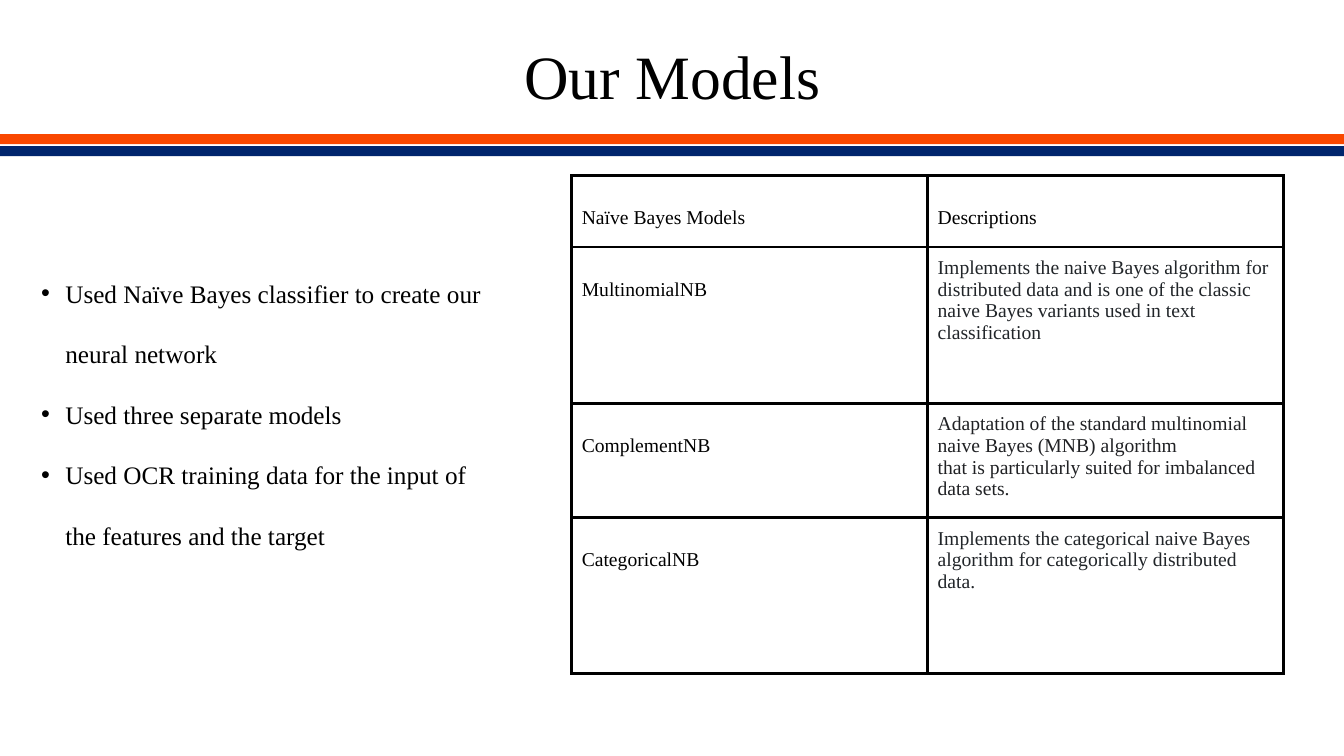
from lxml.etree import SubElement
from pptx import Presentation
from pptx.dml.color import RGBColor
from pptx.enum.shapes import MSO_SHAPE
from pptx.enum.text import MSO_ANCHOR, PP_ALIGN
from pptx.oxml import parse_xml
from pptx.oxml.ns import nsdecls, qn
from pptx.util import Inches, Pt

# Content
TITLE = "Our Models"
BULLETS = [
    "Used Naïve Bayes classifier to create our neural network",
    "Used three separate models",
    "Used OCR training data for the input of the features and the target",
]
HEADINGS = ("Naïve Bayes Models", "Descriptions")
MODELS = [
    ("MultinomialNB", ["Implements the naive Bayes algorithm for distributed data and is "
                       "one of the classic naive Bayes variants used in text classification"]),
    ("ComplementNB", ["Adaptation of the standard multinomial naive Bayes (MNB) algorithm",
                      "that is particularly suited for imbalanced data sets."]),
    ("CategoricalNB", ["Implements the categorical naive Bayes algorithm for "
                       "categorically distributed data."]),
]

# Format
COLORS = {"navy": "00256D", "orange": "F94700", "black": "000000", "white": "FFFFFF"}
DESCRIPTION_COLORS = ["212529", "202124", "212529"]
FONT = "Times New Roman"
WIDTH, HEIGHT = 13.33, 7.5
BAR_HEIGHT = 0.1
BARS = [("navy", 1.45), ("orange", 1.33)]
COLUMN_WIDTH = 3.53
ROW_HEIGHTS = [0.71, 1.55, 1.13, 1.55]
TABLE_LEFT, TABLE_TOP = 5.67, 1.74
BORDER_POINTS = 2.25


def write(frame, lines, size, color=COLORS["black"], align=PP_ALIGN.LEFT,
          spacing=1.0, bullet=False):
    frame.word_wrap = True
    for number, line in enumerate(lines):
        para = frame.add_paragraph() if number else frame.paragraphs[0]
        para.alignment = align
        para.line_spacing = spacing
        span = para.add_run()
        span.text = line
        span.font.size = Pt(size)
        span.font.name = FONT
        span.font.color.rgb = RGBColor.from_string(color)
        if bullet:
            properties = para._p.get_or_add_pPr()
            properties.set("marL", str(Inches(0.31)))
            properties.set("indent", str(Inches(-0.24)))
            SubElement(properties, qn("a:buFont")).set("typeface", "Arial")
            SubElement(properties, qn("a:buChar")).set("char", "•")


def add_text(page, place, lines, **style):
    box = page.shapes.add_textbox(*map(Inches, place))
    write(box.text_frame, lines, **style)
    return box


def fill_cell(cell, lines, **style):
    cell.margin_left = cell.margin_right = Inches(0.1)
    cell.margin_top = cell.margin_bottom = Inches(0.1)
    write(cell.text_frame, lines, size=14, **style)
    cell.fill.background()
    properties = cell._tc.get_or_add_tcPr()
    for position, side in enumerate(("lnL", "lnR", "lnT", "lnB")):
        properties.insert(position, parse_xml(
            f'<a:{side} {nsdecls("a")} w="{Pt(BORDER_POINTS)}"><a:solidFill>'
            f'<a:srgbClr val="{COLORS["black"]}"/></a:solidFill></a:{side}>'))


deck = Presentation()
deck.slide_width, deck.slide_height = Inches(WIDTH), Inches(HEIGHT)
page = deck.slides.add_slide(deck.slide_layouts[6])
page.background.fill.solid()
page.background.fill.fore_color.rgb = RGBColor.from_string(COLORS["white"])

# Bars under the title
for name, top in BARS:
    bar = page.shapes.add_shape(MSO_SHAPE.RECTANGLE, 0, Inches(top),
                                deck.slide_width, Inches(BAR_HEIGHT))
    bar.shadow.inherit = False
    bar.fill.solid()
    bar.fill.fore_color.rgb = RGBColor.from_string(COLORS[name])
    bar.line.fill.background()

# Title and bullets
title = add_text(page, (0.92, 0.19, 11.5, 1.2), [TITLE], size=44,
                 align=PP_ALIGN.CENTER, spacing=0.9)
title.text_frame.vertical_anchor = MSO_ANCHOR.MIDDLE
add_text(page, (0.24, 2.41, 4.84, 3.6), BULLETS, size=18, spacing=2.0, bullet=True)

# Table of models
table = page.shapes.add_table(
    len(ROW_HEIGHTS), len(HEADINGS), Inches(TABLE_LEFT), Inches(TABLE_TOP),
    Inches(COLUMN_WIDTH * len(HEADINGS)), Inches(sum(ROW_HEIGHTS))).table
table.first_row = table.horz_banding = False
for column in table.columns:
    column.width = Inches(COLUMN_WIDTH)
for row, height in zip(table.rows, ROW_HEIGHTS):
    row.height = Inches(height)
for column, heading in enumerate(HEADINGS):
    fill_cell(table.cell(0, column), [heading], spacing=2.0)
for row, ((model, description), color) in enumerate(zip(MODELS, DESCRIPTION_COLORS), 1):
    fill_cell(table.cell(row, 0), [model], spacing=2.0)
    fill_cell(table.cell(row, 1), description, color=color)

deck.save("out.pptx")
